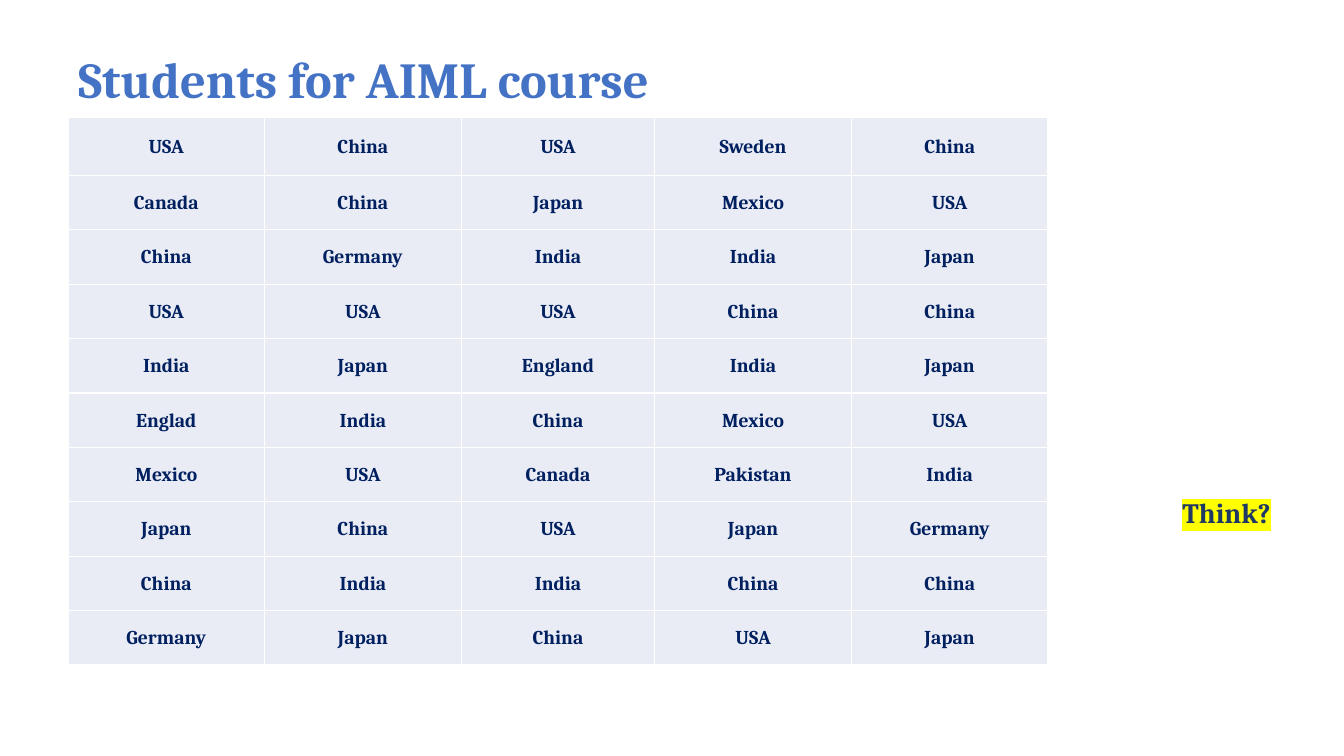
"""Build the slide that lists the home lands of the students on a course."""
from dataclasses import dataclass

from lxml.etree import SubElement
from pptx import Presentation
from pptx.dml.color import RGBColor as Rgb
from pptx.enum.text import MSO_ANCHOR as Anchor, MSO_AUTO_SIZE as Fit, PP_ALIGN as Align
from pptx.oxml import parse_xml
from pptx.oxml.ns import nsdecls, qn
from pptx.slide import Slide
from pptx.table import _Cell as Cell
from pptx.text.text import _Paragraph as Para
from pptx.util import Emu, Pt

PX = 9144


@dataclass(frozen=True)
class Theme:
    font: str = "Cambria"
    title: str = "4472C4"
    note: str = "203864"
    mark: str = "FFFF00"
    body: str = "002060"
    fill: str = "E9EBF5"
    line: str = "FFFFFF"
    big: int = 36
    mid: int = 20
    small: int = 14


@dataclass(frozen=True)
class Label:
    text: str
    left: int
    top: int
    width: int
    height: int
    size: int
    color: str
    mark: str = ""


THEME = Theme()
LABELS = [
    Label("Students for AIML course", 68, 43, 1013, 71, THEME.big, THEME.title),
    Label("Think?", 1163, 487, 117, 44, THEME.mid, THEME.note, THEME.mark),
]
WIDTHS = [194, 196, 191, 196, 194]
HEIGHTS = [58] + [54] * 9
LANDS = [
    ["USA", "China", "USA", "Sweden", "China"],
    ["Canada", "China", "Japan", "Mexico", "USA"],
    ["China", "Germany", "India", "India", "Japan"],
    ["USA", "USA", "USA", "China", "China"],
    ["India", "Japan", "England", "India", "Japan"],
    ["Englad", "India", "China", "Mexico", "USA"],
    ["Mexico", "USA", "Canada", "Pakistan", "India"],
    ["Japan", "China", "USA", "Japan", "Germany"],
    ["China", "India", "India", "China", "China"],
    ["Germany", "Japan", "China", "USA", "Japan"],
]


def px(count: int) -> Emu:
    """Turn pixels into EMU."""
    return Emu(count * PX)


def write(para: Para, text: str, size: int, color: str, mark: str = "") -> None:
    """Add one bold run, with a marker colour if one is given."""
    run = para.add_run()
    run.text = text
    style = {"name": THEME.font, "size": Pt(size), "bold": True}
    for key, value in style.items():
        setattr(run.font, key, value)
    run.font.color.rgb = Rgb.from_string(color)
    if mark:
        glow = parse_xml(f'<a:highlight {nsdecls("a")}><a:srgbClr val="{mark}"/></a:highlight>')
        run.font._element.find(qn("a:solidFill")).addnext(glow)


def add_label(slide: Slide, label: Label) -> None:
    """Draw one text box."""
    box = slide.shapes.add_textbox(
        px(label.left), px(label.top), px(label.width), px(label.height))
    frame = box.text_frame
    frame.word_wrap = True
    frame.auto_size = Fit.SHAPE_TO_FIT_TEXT
    para = frame.paragraphs[0]
    para.space_after = Pt(6)
    write(para, label.text, label.size, label.color, label.mark)


def fill_cell(cell: Cell, text: str) -> None:
    """Style one table cell and write its text."""
    style = {
        "vertical_anchor": Anchor.MIDDLE,
        "margin_left": px(1),
        "margin_top": px(1),
        "margin_right": px(1),
        "margin_bottom": px(0),
    }
    for key, value in style.items():
        setattr(cell, key, value)
    props = cell._tc.get_or_add_tcPr()
    for side in ("lnL", "lnR", "lnT", "lnB"):
        line = SubElement(props, qn(f"a:{side}"), w=str(Pt(1)))
        paint = SubElement(line, qn("a:solidFill"))
        SubElement(paint, qn("a:srgbClr"), val=THEME.line)
    cell.fill.solid()
    cell.fill.fore_color.rgb = Rgb.from_string(THEME.fill)
    para = cell.text_frame.paragraphs[0]
    para.alignment = Align.CENTER
    write(para, text, THEME.small, THEME.body)


def add_grid(slide: Slide) -> None:
    """Draw the table of lands."""
    table = slide.shapes.add_table(
        len(HEIGHTS), len(WIDTHS), px(68), px(116),
        px(sum(WIDTHS)), px(sum(HEIGHTS))).table
    table.first_row = table.horz_banding = False
    for col, width in zip(table.columns, WIDTHS):
        col.width = px(width)
    for row, height, names in zip(table.rows, HEIGHTS, LANDS):
        row.height = px(height)
        for cell, name in zip(row.cells, names):
            fill_cell(cell, name)


def main() -> None:
    """Build and save the deck."""
    deck = Presentation()
    deck.slide_width, deck.slide_height = px(1333), px(750)
    slide = deck.slides.add_slide(deck.slide_layouts[6])
    for label in LABELS:
        add_label(slide, label)
    add_grid(slide)
    deck.save("out.pptx")


if __name__ == "__main__":
    main()
